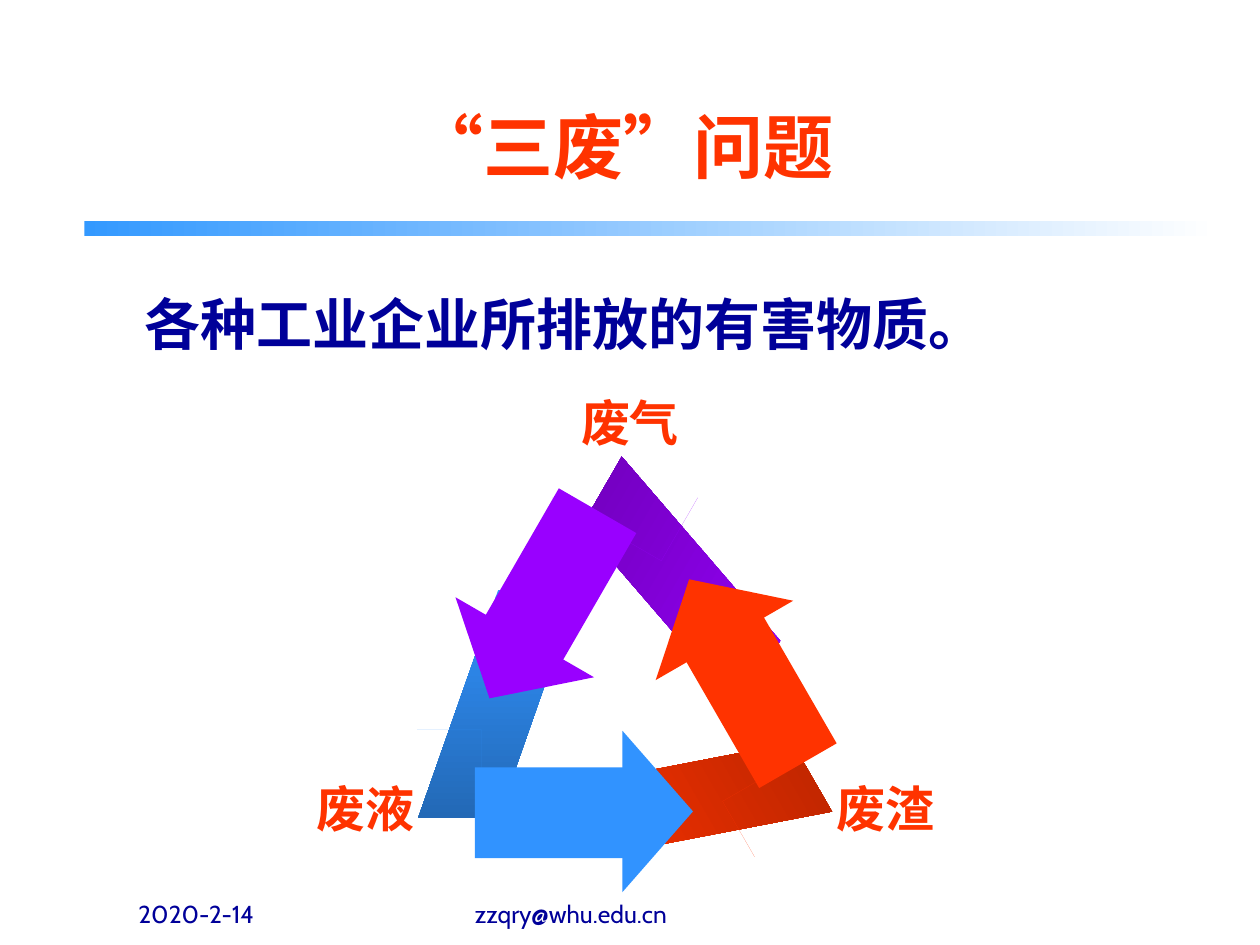
from lxml import etree
from pptx import Presentation
from pptx import util as u
from pptx.dml.color import RGBColor
from pptx.enum import shapes, text
from pptx.oxml import ns

BLUE = RGBColor(0x31, 0x93, 0xFF)
BLUE_DARK = RGBColor(0x23, 0x69, 0xB6)
PURPLE = RGBColor(0x99, 0x00, 0xFF)
PURPLE_DARK = RGBColor(0x6D, 0x00, 0xB6)
RED = RGBColor(0xFF, 0x33, 0x00)
RED_DARK = RGBColor(0xB6, 0x24, 0x00)
BAR_BLUE = RGBColor(0x33, 0x99, 0xFF)
WHITE = RGBColor(0xFF, 0xFF, 0xFF)
NAVY = RGBColor(0x00, 0x00, 0x99)

CABIN, ARIAL, CJK = "Cabin", "Arial", "Noto Sans CJK SC"
LEFT, CENTER, RIGHT = (text.PP_ALIGN.LEFT, text.PP_ALIGN.CENTER,
                       text.PP_ALIGN.RIGHT)

# Outlines of one ribbon lying flat, in inches; turned copies make the cycle
TAIL = [(4.59, 5.03), (3.74, 6.49), (3.32, 5.93), (3.33, 5.8), (3.98, 4.68)]
FOLD = [(3.82, 6.09), (3.82, 6.81), (3.79, 6.8), (3.76, 6.79), (3.73, 6.77),
        (3.7, 6.73), (3.66, 6.69), (3.63, 6.63), (3.59, 6.56), (3.55, 6.47),
        (3.5, 6.37), (3.45, 6.25), (3.41, 6.18), (3.34, 6.01), (3.31, 5.92),
        (3.31, 5.85), (3.33, 5.79), (3.33, 5.92), (3.34, 5.96), (3.37, 6),
        (3.4, 6.03), (3.44, 6.06), (3.5, 6.08), (3.56, 6.09)]
BODY = [(5.17, 6.09), (3.77, 6.09), (3.78, 6.46), (3.82, 6.81), (5.17, 6.81)]
HEAD = None  # preset triangle


class SlideBuilder:
    """Holds the slide, the current shape collection and the text style."""

    def __init__(self, slide):
        self.slide = slide
        self.shapes = slide.shapes

    def start_group(self):
        self.shapes = self.slide.shapes.add_group_shape().shapes

    def end_group(self):
        self.shapes = self.slide.shapes

    def paint(self, shape, start, end=None, angle=0):
        shape.shadow.inherit = False
        shape.line.fill.background()
        if end is None:
            shape.fill.solid()
            shape.fill.fore_color.rgb = start
            return
        shape.fill.gradient()
        shape.fill.gradient_angle = angle
        for stop, color, position in zip(shape.fill.gradient_stops,
                                         (start, end), (0, 1)):
            stop.color.rgb = color
            stop.position = position

    def bar(self, box, start, end):
        bar = self.shapes.add_shape(shapes.MSO_SHAPE.RECTANGLE,
                                    *map(u.Inches, box))
        self.paint(bar, start, end)

    def ribbon_part(self, outline, box, turn, color, dark=None):
        frame = [u.Inches(length) for length in box]
        if outline is HEAD:
            part = self.shapes.add_shape(
                shapes.MSO_SHAPE.ISOSCELES_TRIANGLE, *frame)
        else:
            builder = self.shapes.build_freeform(*outline[0],
                                                 scale=u.Inches(1))
            builder.add_line_segments(outline[1:], close=True)
            part = builder.convert_to_shape()
            part.left, part.top, part.width, part.height = frame
        part.rotation = turn
        self.paint(part, color, dark, angle=270)

    def text(self, box, runs, color, align=LEFT, bold=True, bottom=False,
             wrap=True, indent=0):
        """Each run is (words, size, font)."""
        frame = self.shapes.add_textbox(*map(u.Inches, box)).text_frame
        frame.word_wrap = wrap
        if not wrap:
            frame.auto_size = text.MSO_AUTO_SIZE.SHAPE_TO_FIT_TEXT
        if bottom:
            frame.vertical_anchor = text.MSO_ANCHOR.BOTTOM
        paragraph = frame.paragraphs[0]
        paragraph.alignment = align
        if indent:
            properties = paragraph._p.get_or_add_pPr()
            properties.set("marL", str(u.Inches(indent)))
            properties.set("indent", "0")
        for words, size, font in runs:
            run = paragraph.add_run()
            run.text = words
            run.font.size = u.Pt(size)
            run.font.bold = bold
            run.font.color.rgb = color
            run.font.name = font
            east_asian = etree.Element(ns.qn("a:ea"), typeface=CJK)
            run._r.rPr.find(ns.qn("a:latin")).addnext(east_asian)


def main():
    deck = Presentation()
    deck.slide_width, deck.slide_height = u.Inches(10), u.Inches(7.5)
    page = SlideBuilder(deck.slides.add_slide(deck.slide_layouts[6]))

    # Title, rule and lead sentence
    page.bar((0.67, 1.75, 9, 0.12), BAR_BLUE, WHITE)
    page.text((1.75, 0.68, 6.58, 0.91),
              [("“", 40, CJK), ("三废", 40, CABIN), ("”", 40, CJK),
               ("问题", 40, CABIN), (" ", 60, CABIN)],
              RED, CENTER, bottom=True)
    page.text((0.75, 2.25, 8.81, 0.71),
              [("各种工业企业所排放的有害物质。", 32, CABIN)], NAVY, indent=0.3)

    # Cycle of three ribbons, from back to front
    page.start_group()
    for outline, box, turn, *colors in [
        (TAIL, (3.32, 4.68, 1.27, 1.81), 0, BLUE, BLUE_DARK),
        (TAIL, (4.77, 3.72, 1.27, 1.82), 120, PURPLE, PURPLE_DARK),
        (HEAD, (3.39, 5.02, 1.27, 0.56), 210, PURPLE),
        (BODY, (3.7, 4.3, 1.39, 0.71), 120, PURPLE),
        (FOLD, (4.67, 3.45, 0.58, 1), 120, PURPLE),
        (TAIL, (4.87, 5.44, 1.26, 1.82), 240, RED, RED_DARK),
        (HEAD, (4.98, 4.56, 1.26, 0.56), 330, RED),
        (BODY, (5.29, 5.12, 1.39, 0.71), 240, RED),
        (FOLD, (6.04, 5.83, 0.51, 1), 240, RED),
        (FOLD, (3.31, 5.79, 0.51, 1.02), 0, BLUE),
        (HEAD, (4.58, 6.16, 1.28, 0.56), 90, BLUE),
        (BODY, (3.77, 6.09, 1.4, 0.72), 0, BLUE),
    ]:
        page.ribbon_part(outline, box, turn, *colors)

    # Names of the three wastes
    for waste, left, top, align in [("废液", 2.41, 6.13, RIGHT),
                                    ("废渣", 6.54, 6.13, LEFT),
                                    ("废气", 4.51, 3.07, CENTER)]:
        page.text((left, top, 0.98, 0.57), [(waste, 28, ARIAL)], RED, align,
                  wrap=False)
    page.end_group()

    # Footer
    for words, left, width in [("2020-2-14", 1, 2.08),
                               ("zzqry@whu.edu.cn", 3.67, 3.17)]:
        page.text((left, 6.92, width, 0.5), [(words, 14, CABIN)], NAVY,
                  bold=False, bottom=True)

    deck.save("out.pptx")


if __name__ == "__main__":
    main()
